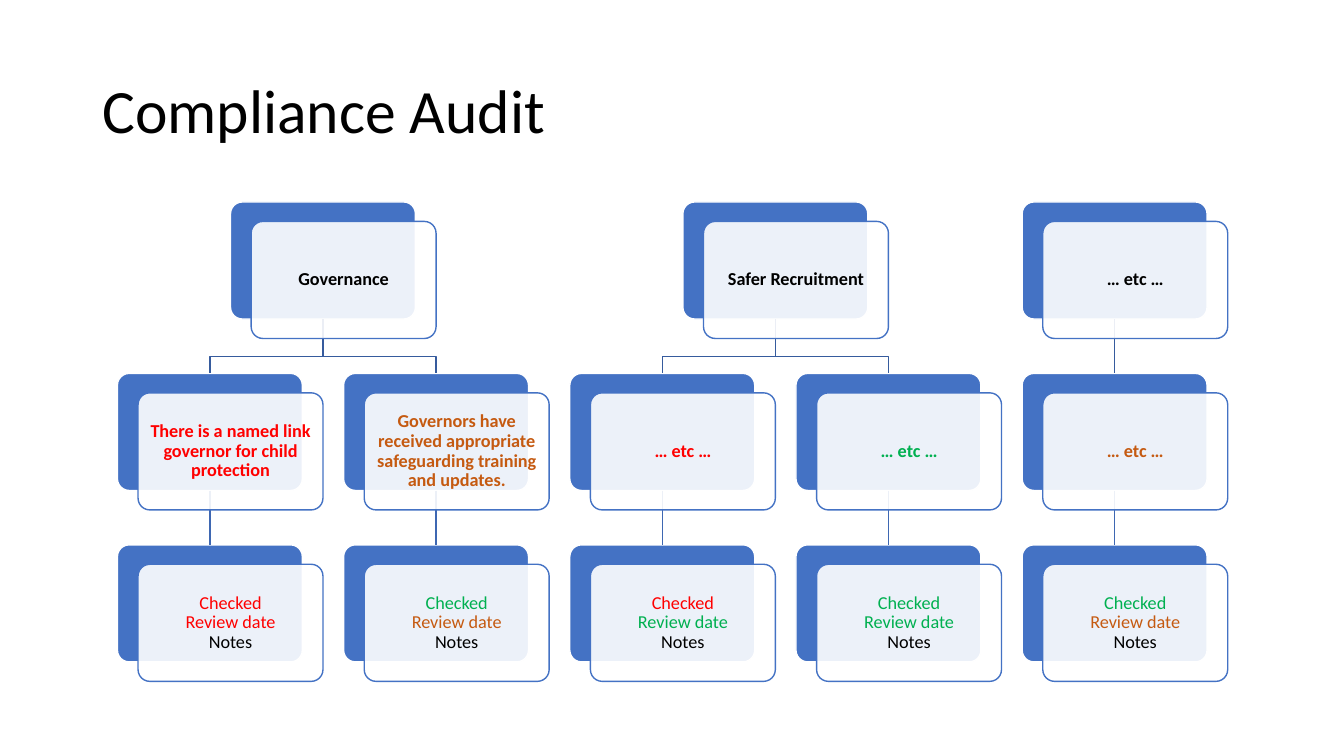
from lxml import etree
from pptx import Presentation
from pptx.dml.color import RGBColor
from pptx.enum.shapes import MSO_CONNECTOR, MSO_SHAPE
from pptx.enum.text import MSO_ANCHOR, PP_ALIGN
from pptx.oxml.ns import qn
from pptx.util import Cm, Pt

ROUNDED = MSO_SHAPE.ROUNDED_RECTANGLE
STRAIGHT = MSO_CONNECTOR.STRAIGHT
MIDDLE = MSO_ANCHOR.MIDDLE
LEFT, CENTER = PP_ALIGN.LEFT, PP_ALIGN.CENTER
TOP_SIDE, BOTTOM_SIDE = 0, 2
TITLE_ONLY = 5

FONT = "Calibri"
BLUE, WHITE, BLACK = "4472C4", "FFFFFF", "000000"
RED, GREEN, ORANGE = "FF0000", "00B050", "C55A11"
LINK_UPPER, LINK_LOWER = "365B9D", "3E67B2"

# Card grid in centimetres
GRID_LEFT, GRID_TOP = 2.96, 5.09
COLUMN_STEP, ROW_STEP = 5.7, 4.32
CARD_WIDTH, CARD_HEIGHT = 4.66, 2.95
FRONT_SHIFT_X, FRONT_SHIFT_Y = 0.52, 0.49
BEND_DROP = 0.94

# Each area: heading, then its checks as
# (wording, its colour, colour of "Checked", colour of "Review date")
AREAS = [
    ("Governance", [
        ("There is a named link governor for child protection", RED, RED, RED),
        ("Governors have received appropriate safeguarding training and updates.",
         ORANGE, GREEN, ORANGE),
    ]),
    ("Safer Recruitment", [
        ("… etc …", RED, RED, GREEN),
        ("… etc …", GREEN, GREEN, GREEN),
    ]),
    ("… etc …", [("… etc …", ORANGE, GREEN, ORANGE)]),
]


def color(hex_string):
    return RGBColor.from_string(hex_string)


def add_span(para, text, size, hex_color, bold=False):
    span = para.add_run()
    span.text = text
    span.font.name = FONT
    span.font.size = Pt(size)
    span.font.bold = bold
    span.font.color.rgb = color(hex_color)


def style_line(line, hex_color):
    line.color.rgb = color(hex_color)
    line.width = Pt(1)


def set_title(page, text):
    title = page.shapes.title
    title.left, title.top = Cm(2.33), Cm(1.01)
    title.width, title.height = Cm(29.21), Cm(3.68)
    title.text_frame.vertical_anchor = MIDDLE
    para = title.text_frame.paragraphs[0]
    para.alignment = LEFT
    para.line_spacing = 0.9
    add_span(para, text, 44, BLACK)


def add_card(page, left, top, fill, outline):
    box = page.shapes.add_shape(
        ROUNDED, Cm(left), Cm(top), Cm(CARD_WIDTH), Cm(CARD_HEIGHT))
    box.adjustments[0] = 0.1
    box.shadow.inherit = False
    box.fill.solid()
    box.fill.fore_color.rgb = color(fill)
    style_line(box.line, outline)
    return box


def add_back_card(page, column, row):
    return add_card(page, GRID_LEFT + column * COLUMN_STEP,
                    GRID_TOP + row * ROW_STEP, BLUE, WHITE)


def add_front_card(page, column, row, lines, bold):
    box = add_card(page, GRID_LEFT + column * COLUMN_STEP + FRONT_SHIFT_X,
                   GRID_TOP + row * ROW_STEP + FRONT_SHIFT_Y, WHITE, BLUE)
    fill_color = box._element.spPr.find(qn("a:solidFill"))[0]
    etree.SubElement(fill_color, qn("a:alpha")).set("val", "90000")

    frame = box.text_frame
    frame.word_wrap = True
    frame.vertical_anchor = MIDDLE
    frame.margin_left = frame.margin_right = Cm(0.13)
    frame.margin_top = frame.margin_bottom = Cm(0.13)
    para = frame.paragraphs[0]
    para.alignment = CENTER
    para.line_spacing = 0.9
    for index, (text, hex_color) in enumerate(lines):
        if index:
            para.add_line_break()
        add_span(para, text, 13, hex_color, bold)


def add_straight_link(page, upper, lower, hex_color):
    link = page.shapes.add_connector(STRAIGHT, 0, 0, 0, 0)
    link.begin_connect(upper, BOTTOM_SIDE)
    link.end_connect(lower, TOP_SIDE)
    style_line(link.line, hex_color)
    etree.SubElement(link._element.spPr, qn("a:effectLst"))


def add_bent_link(page, upper, lower, hex_color):
    start_x = upper.left + upper.width // 2
    start_y = upper.top + upper.height
    end_x = lower.left + lower.width // 2
    bend_y = start_y + Cm(BEND_DROP)
    builder = page.shapes.build_freeform(start_x, start_y)
    builder.add_line_segments(
        [(start_x, bend_y), (end_x, bend_y), (end_x, lower.top)], close=False)
    link = builder.convert_to_shape()
    link.shadow.inherit = False
    link.fill.background()
    style_line(link.line, hex_color)


def add_area(page, first_column, heading, checks):
    heading_column = first_column + (len(checks) - 1) / 2
    columns = range(first_column, first_column + len(checks))

    # Back cards
    heading_card = add_back_card(page, heading_column, 0)
    check_cards = [add_back_card(page, column, 1) for column in columns]
    status_cards = [add_back_card(page, column, 2) for column in columns]

    # Links, between the back and front cards
    add_upper_link = add_bent_link if len(checks) > 1 else add_straight_link
    for check_card, status_card in zip(check_cards, status_cards):
        add_upper_link(page, heading_card, check_card, LINK_UPPER)
        add_straight_link(page, check_card, status_card, LINK_LOWER)

    # Front cards with the wording
    add_front_card(page, heading_column, 0, [(heading, BLACK)], True)
    for column, (text, text_color, checked, review) in zip(columns, checks):
        add_front_card(page, column, 1, [(text, text_color)], True)
        status = [("Checked", checked), ("Review date", review), ("Notes", BLACK)]
        add_front_card(page, column, 2, status, False)


def main():
    deck = Presentation()
    deck.slide_width, deck.slide_height = Cm(33.87), Cm(19.05)
    page = deck.slides.add_slide(deck.slide_layouts[TITLE_ONLY])
    set_title(page, "Compliance Audit")

    first_column = 0
    for heading, checks in AREAS:
        add_area(page, first_column, heading, checks)
        first_column += len(checks)

    deck.save("out.pptx")


if __name__ == "__main__":
    main()
